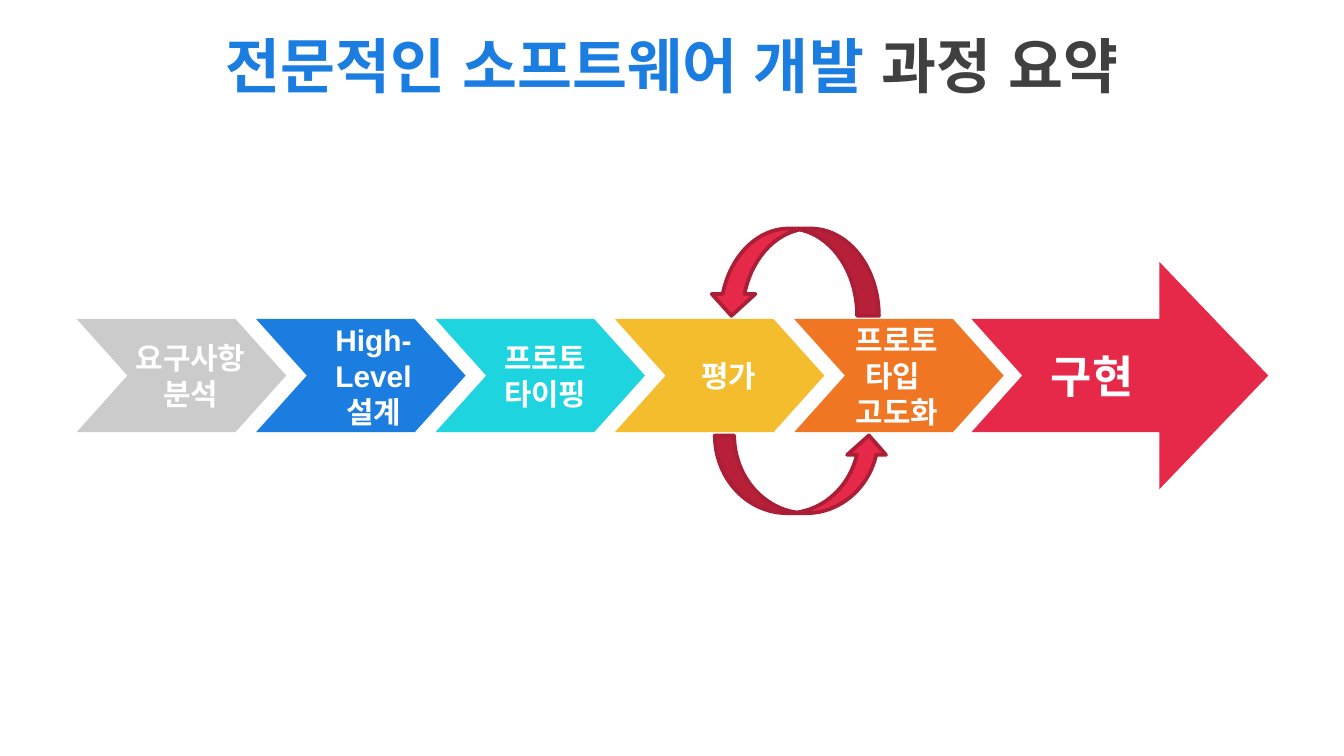
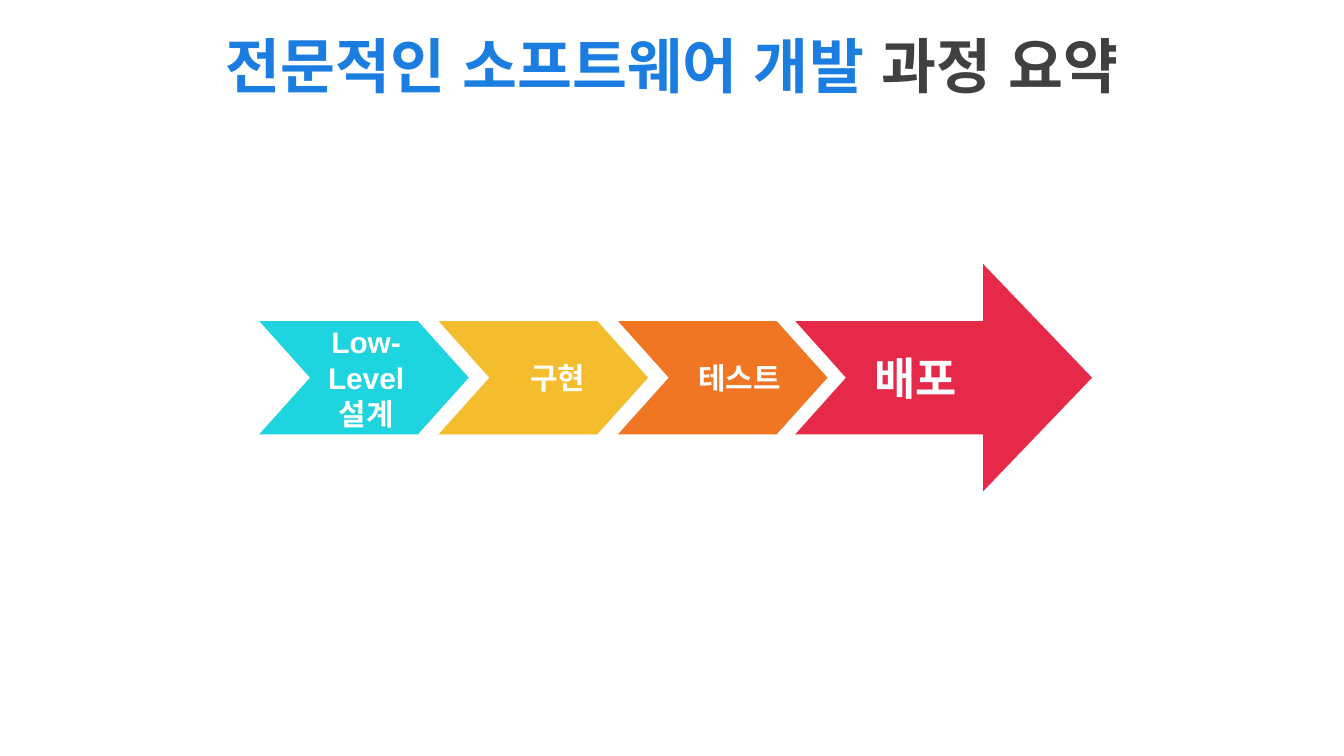
from dataclasses import dataclass

from lxml.etree import SubElement
from pptx import Presentation
from pptx.dml.color import RGBColor
from pptx.enum.shapes import MSO_SHAPE
from pptx.enum.text import MSO_ANCHOR, MSO_AUTO_SIZE, PP_ALIGN
from pptx.oxml.ns import qn
from pptx.shapes.autoshape import Shape
from pptx.slide import Slide
from pptx.text.text import TextFrame, _Paragraph
from pptx.util import Cm, Pt


@dataclass(frozen=True)
class Theme:
    font: str = "Arial"
    blue: str = "1C7DE1"
    dark: str = "404040"
    white: str = "FFFFFF"
    gray: str = "CBCBCB"
    cyan: str = "1ED4DE"
    yellow: str = "F4BD2D"
    orange: str = "F07624"
    red: str = "E62949"
    deep_red: str = "AA1E36"
    title_size: int = 32
    goal_size: int = 24
    step_size: int = 16


THEME = Theme()

SLIDE_WIDTH, SLIDE_HEIGHT = 25.4, 14.29
TITLE_HEIGHT = 2.46
STEP_WIDTH, STEP_HEIGHT, STEP_PITCH = 3.96, 2.14, 3.39
STEP_POINT = 0.449
GOAL_PITCH, GOAL_BODY, GOAL_LENGTH = 3.35, 3.55, 5.61
GOAL_NOTCH, GOAL_WING = 0.96, 1.08
LABEL_WIDTH, GOAL_LABEL_SHIFT = 2.82, 0.87
LINE_HEIGHT_PER_POINT = 0.043


@dataclass(frozen=True)
class Step:
    paragraphs: tuple[str, ...]
    color: str
    label_shift: float
    line_count: int = 1


@dataclass(frozen=True)
class Loop:
    left: float
    top: float
    width: float
    height: float
    flip: str


@dataclass(frozen=True)
class Process:
    left: float
    top: float
    steps: tuple[Step, ...]
    goal: str
    loops: tuple[Loop, ...] = ()


PROCESSES = (
    Process(
        left=1.45,
        top=6.03,
        steps=(
            Step(("요구사항 분석",), THEME.gray, 0.74, 2),
            Step(("High-Level", "설계"), THEME.blue, 0.81, 3),
            Step(("프로토\n타이핑",), THEME.cyan, 0.66, 2),
            Step(("평가",), THEME.yellow, 0.74),
            Step(("프로토", "타입 ", "고도화"), THEME.orange, 0.53, 3),
        ),
        goal="구현",
        loops=(
            Loop(13.41, 4.32, 3.2, 1.65, "flipV"),
            Loop(13.51, 8.23, 3.28, 1.47, "flipH"),
        ),
    ),
    Process(
        left=4.9,
        top=6.07,
        steps=(
            Step(("Low-Level\n설계",), THEME.cyan, 0.61, 3),
            Step(("구현",), THEME.yellow, 0.84),
            Step(("테스트",), THEME.orange, 0.89),
        ),
        goal="배포",
    ),
)


def write_text(paragraph: _Paragraph, text: str, *, size: int, color: str,
               bold: bool = True) -> None:
    paragraph.alignment = PP_ALIGN.CENTER
    for index, line in enumerate(text.split("\n")):
        if index:
            paragraph.add_line_break()
        run = paragraph.add_run()
        run.text = line
        run.font.name = THEME.font
        run.font.size = Pt(size)
        run.font.bold = bold
        run.font.color.rgb = RGBColor.from_string(color)
        SubElement(run.font._element, qn("a:ea"), typeface=THEME.font)


def add_frame(slide: Slide, left: float, top: float, width: float,
              height: float) -> TextFrame:
    frame = slide.shapes.add_textbox(
        Cm(left), Cm(top), Cm(width), Cm(height)).text_frame
    frame.word_wrap = True
    frame.vertical_anchor = MSO_ANCHOR.MIDDLE
    return frame


def add_title(slide: Slide) -> None:
    heading = add_frame(slide, 0, 0, SLIDE_WIDTH, TITLE_HEIGHT).paragraphs[0]
    for text, color in (("전문적인 소프트웨어 개발 ", THEME.blue),
                        ("과정 요약", THEME.dark)):
        write_text(heading, text, size=THEME.title_size, color=color)


def add_label(slide: Slide, paragraphs: tuple[str, ...], left: float,
              middle: float, line_count: int, size: int) -> None:
    height = line_count * size * LINE_HEIGHT_PER_POINT
    frame = add_frame(slide, left, middle - height / 2, LABEL_WIDTH, height)
    frame.margin_top = frame.margin_bottom = 0
    frame.auto_size = MSO_AUTO_SIZE.SHAPE_TO_FIT_TEXT
    for index, text in enumerate(paragraphs):
        paragraph = frame.add_paragraph() if index else frame.paragraphs[0]
        write_text(paragraph, text, size=size, color=THEME.white)


def paint(shape: Shape, color: str) -> None:
    shape.shadow.inherit = False
    shape.fill.solid()
    shape.fill.fore_color.rgb = RGBColor.from_string(color)
    shape.line.fill.background()


def add_chevron(slide: Slide, left: float, top: float, color: str) -> None:
    chevron = slide.shapes.add_shape(
        MSO_SHAPE.CHEVRON, Cm(left), Cm(top), Cm(STEP_WIDTH), Cm(STEP_HEIGHT))
    chevron.adjustments[0] = STEP_POINT
    paint(chevron, color)


def add_goal_arrow(slide: Slide, left: float, top: float) -> None:
    bottom = top + STEP_HEIGHT
    middle = top + STEP_HEIGHT / 2
    neck = left + GOAL_BODY
    outline = (
        (neck, top - GOAL_WING),
        (left + GOAL_LENGTH, middle),
        (neck, bottom + GOAL_WING),
        (neck, bottom),
        (left, bottom),
        (left + GOAL_NOTCH, middle),
        (left, top),
        (neck, top),
    )
    start, *corners = [(Cm(x), Cm(y)) for x, y in outline]
    builder = slide.shapes.build_freeform(*start)
    builder.add_line_segments(corners, close=True)
    paint(builder.convert_to_shape(), THEME.red)


def add_loop(slide: Slide, loop: Loop) -> None:
    arrow = slide.shapes.add_shape(
        MSO_SHAPE.CURVED_DOWN_ARROW, Cm(loop.left), Cm(loop.top),
        Cm(loop.width), Cm(loop.height))
    paint(arrow, THEME.red)
    arrow.line.color.rgb = RGBColor.from_string(THEME.deep_red)
    arrow.line.width = Pt(2)
    arrow.rotation = 180
    arrow._element.spPr.find(qn("a:xfrm")).set(loop.flip, "1")


def add_process(slide: Slide, process: Process) -> None:
    lefts = [process.left + index * STEP_PITCH
             for index in range(len(process.steps))]
    goal_left = lefts[-1] + GOAL_PITCH
    middle = process.top + STEP_HEIGHT / 2
    for left, step in zip(lefts, process.steps):
        add_chevron(slide, left, process.top, step.color)
    add_goal_arrow(slide, goal_left, process.top)
    add_label(slide, (process.goal,), goal_left + GOAL_LABEL_SHIFT, middle,
              1, THEME.goal_size)
    for left, step in reversed(list(zip(lefts, process.steps))):
        add_label(slide, step.paragraphs, left + step.label_shift, middle,
                  step.line_count, THEME.step_size)
    for loop in process.loops:
        add_loop(slide, loop)


def main() -> None:
    deck = Presentation()
    deck.slide_width = Cm(SLIDE_WIDTH)
    deck.slide_height = Cm(SLIDE_HEIGHT)
    for process in PROCESSES:
        slide = deck.slides.add_slide(deck.slide_layouts[6])
        add_title(slide)
        add_process(slide, process)
    deck.save("out.pptx")


if __name__ == "__main__":
    main()
